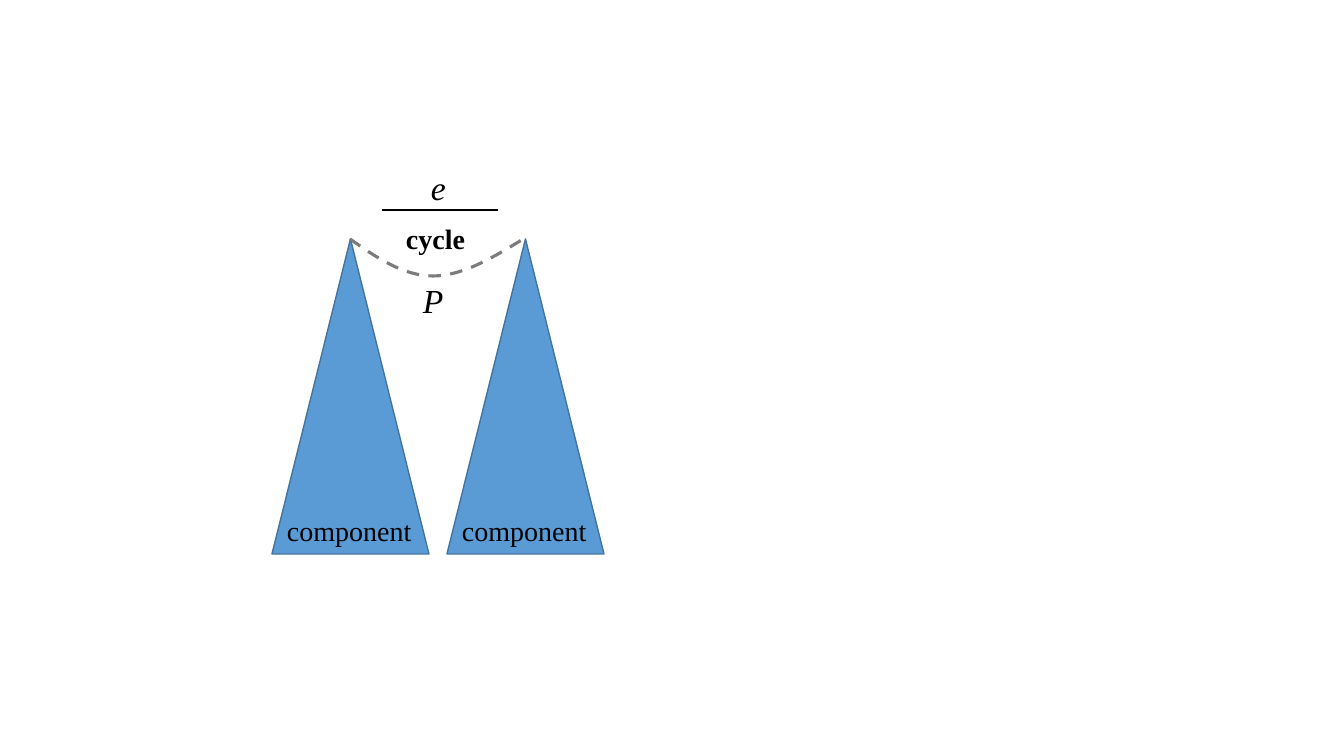
from lxml.etree import SubElement
from pptx import Presentation
from pptx.dml.color import RGBColor
from pptx.enum.dml import MSO_LINE
from pptx.enum.shapes import MSO_CONNECTOR, MSO_SHAPE
from pptx.enum.text import MSO_AUTO_SIZE
from pptx.oxml.ns import qn
from pptx.util import Emu, Pt

EMU_PER_PX = 914400 / 100.8
FONT = "Times New Roman"
BLACK = "000000"


def px(length):
    return Emu(round(length * EMU_PER_PX))


def color(hex_string):
    return RGBColor.from_string(hex_string)


def style_line(line, hex_string, width):
    line.color.rgb = color(hex_string)
    line.width = Pt(width)


def add_label(slide, text, left, top, width, height, size, bold=False, italic=False):
    shape = slide.shapes.add_textbox(px(left), px(top), px(width), px(height))
    frame = shape.text_frame
    frame.word_wrap = True
    frame.auto_size = MSO_AUTO_SIZE.SHAPE_TO_FIT_TEXT
    run = frame.paragraphs[0].add_run()
    run.text = text
    run.font.name = FONT
    run.font.size = Pt(size)
    run.font.bold = bold
    run.font.italic = italic
    run.font.color.rgb = color(BLACK)


def add_edge(slide, start, end):
    connector = slide.shapes.add_connector(
        MSO_CONNECTOR.STRAIGHT, *(px(value) for value in start + end)
    )
    style_line(connector.line, BLACK, 1.5)
    SubElement(connector._element.spPr, qn("a:effectLst"))


def add_component(slide, left):
    triangle = slide.shapes.add_shape(
        MSO_SHAPE.ISOSCELES_TRIANGLE, px(left), px(239), px(157), px(315)
    )
    triangle.shadow.inherit = False
    triangle.fill.solid()
    triangle.fill.fore_color.rgb = color("5B9BD5")
    style_line(triangle.line, "43739E", 1)
    add_label(slide, "component", left + 5, 509, 145, 44, 20)


def add_dashed_curve(slide, start, control_points):
    builder = slide.shapes.build_freeform(*start, scale=EMU_PER_PX)
    builder.add_line_segments(control_points, close=False)
    curve = builder.convert_to_shape()
    path = curve._element.find(".//" + qn("a:path"))
    segments = path.findall(qn("a:lnTo"))
    for first in range(0, len(segments), 3):
        bezier = SubElement(path, qn("a:cubicBezTo"))
        for segment in segments[first:first + 3]:
            bezier.append(segment[0])
            path.remove(segment)
    curve.shadow.inherit = False
    curve.fill.background()
    style_line(curve.line, "7C7C7C", 2.25)
    curve.line.dash_style = MSO_LINE.DASH


def main():
    presentation = Presentation()
    presentation.slide_width = px(1344)
    presentation.slide_height = px(756)
    slide = presentation.slides.add_slide(presentation.slide_layouts[6])

    add_edge(slide, (498, 210), (382, 210))
    add_label(slide, "e", 421, 162, 127, 50, 24, italic=True)
    for left in (272, 447):
        add_component(slide, left)
    add_dashed_curve(
        slide,
        (350, 239),
        [(377, 258), (404, 276), (433, 276), (463, 276), (494, 257), (525, 238)],
    )
    add_label(slide, "cycle", 396, 217, 127, 44, 20, bold=True)
    add_label(slide, "P", 413, 275, 127, 50, 24, italic=True)

    presentation.save("out.pptx")


if __name__ == "__main__":
    main()
